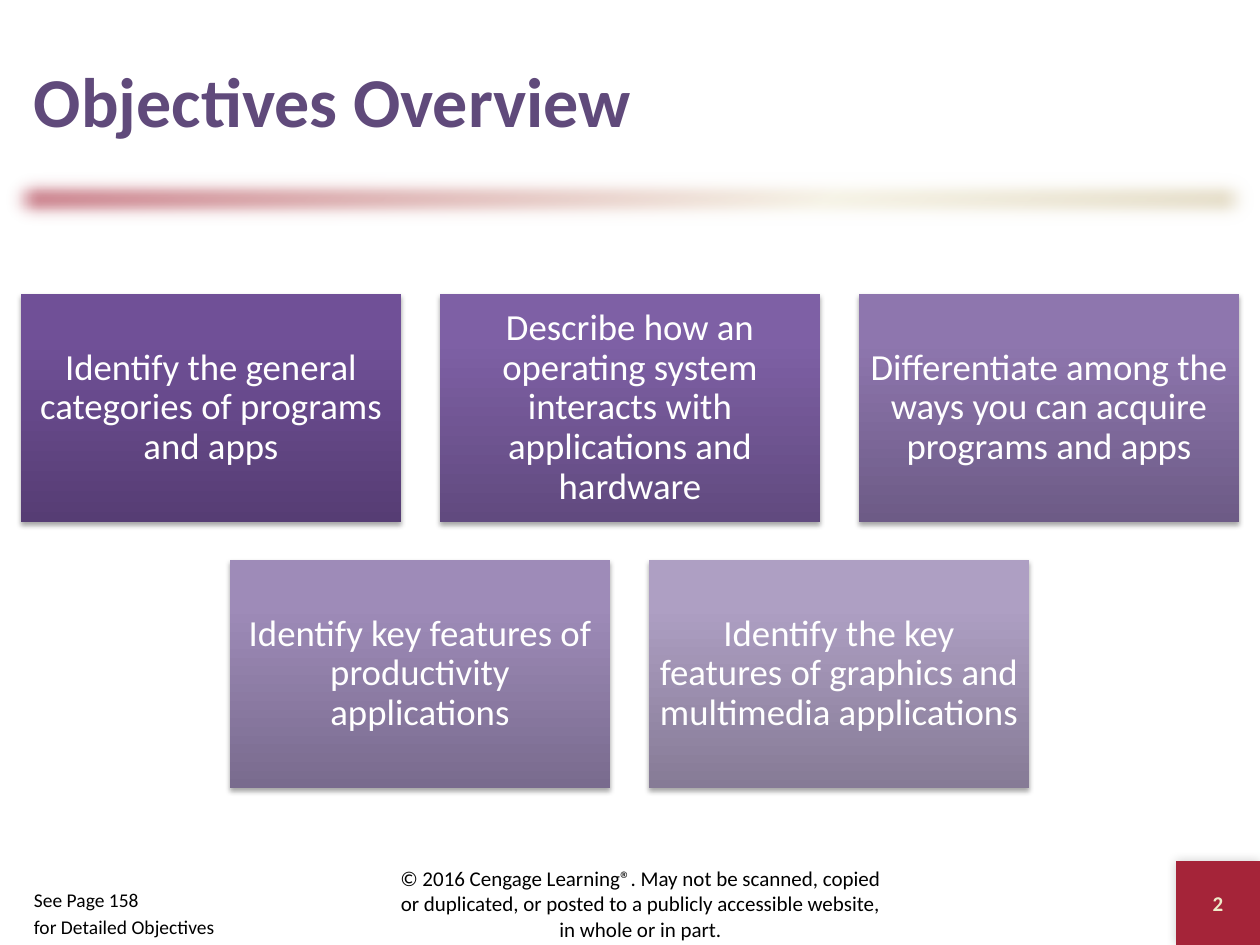
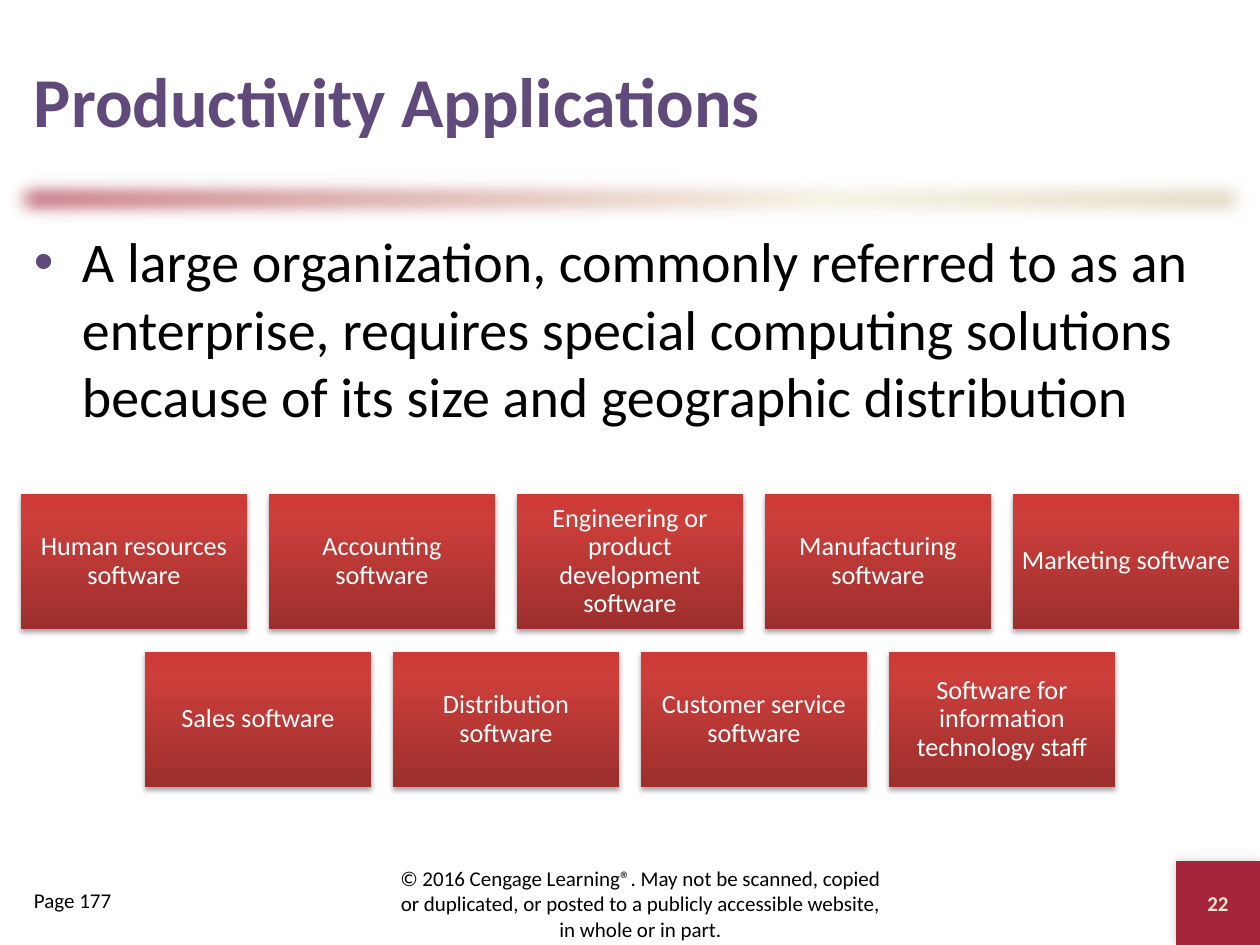
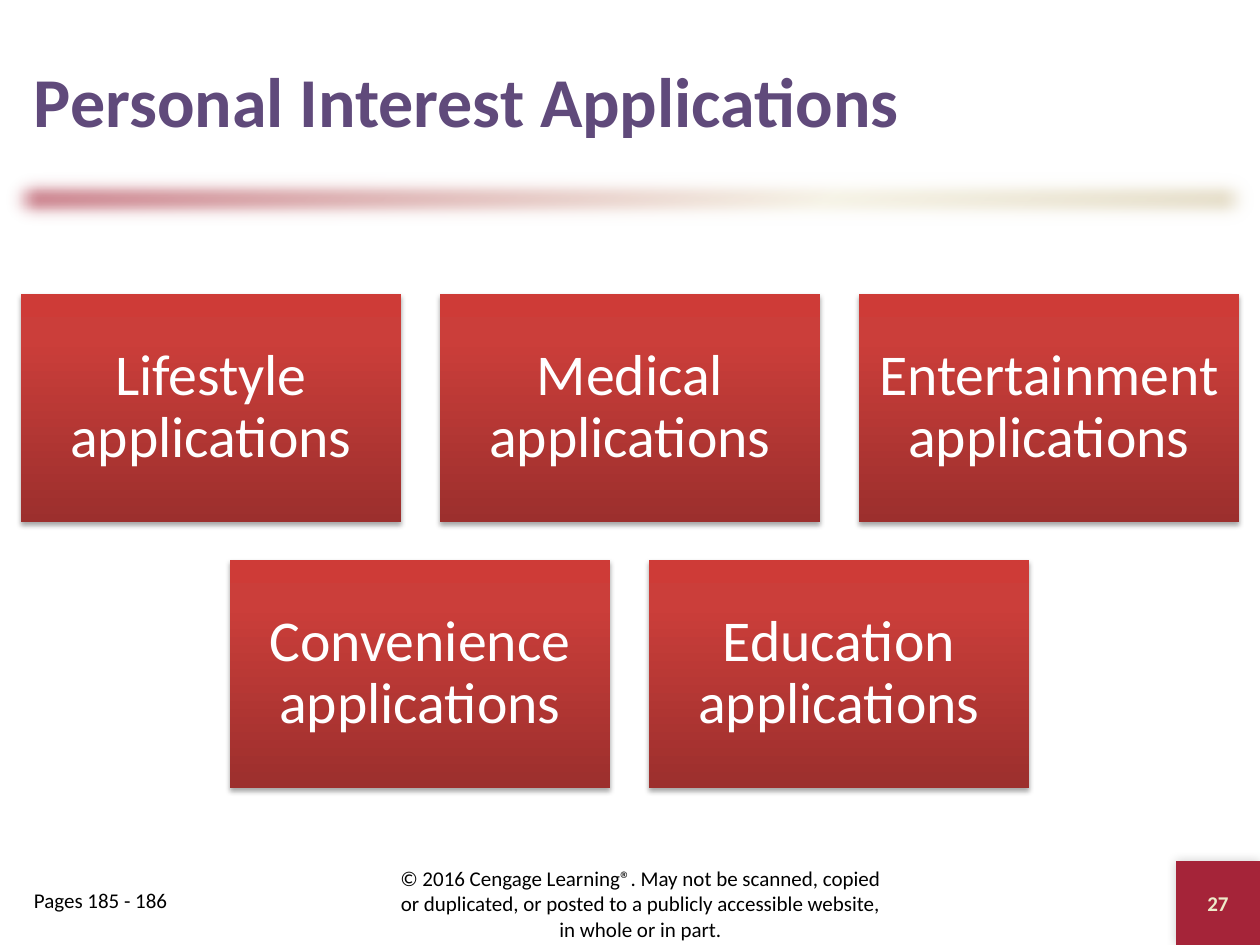
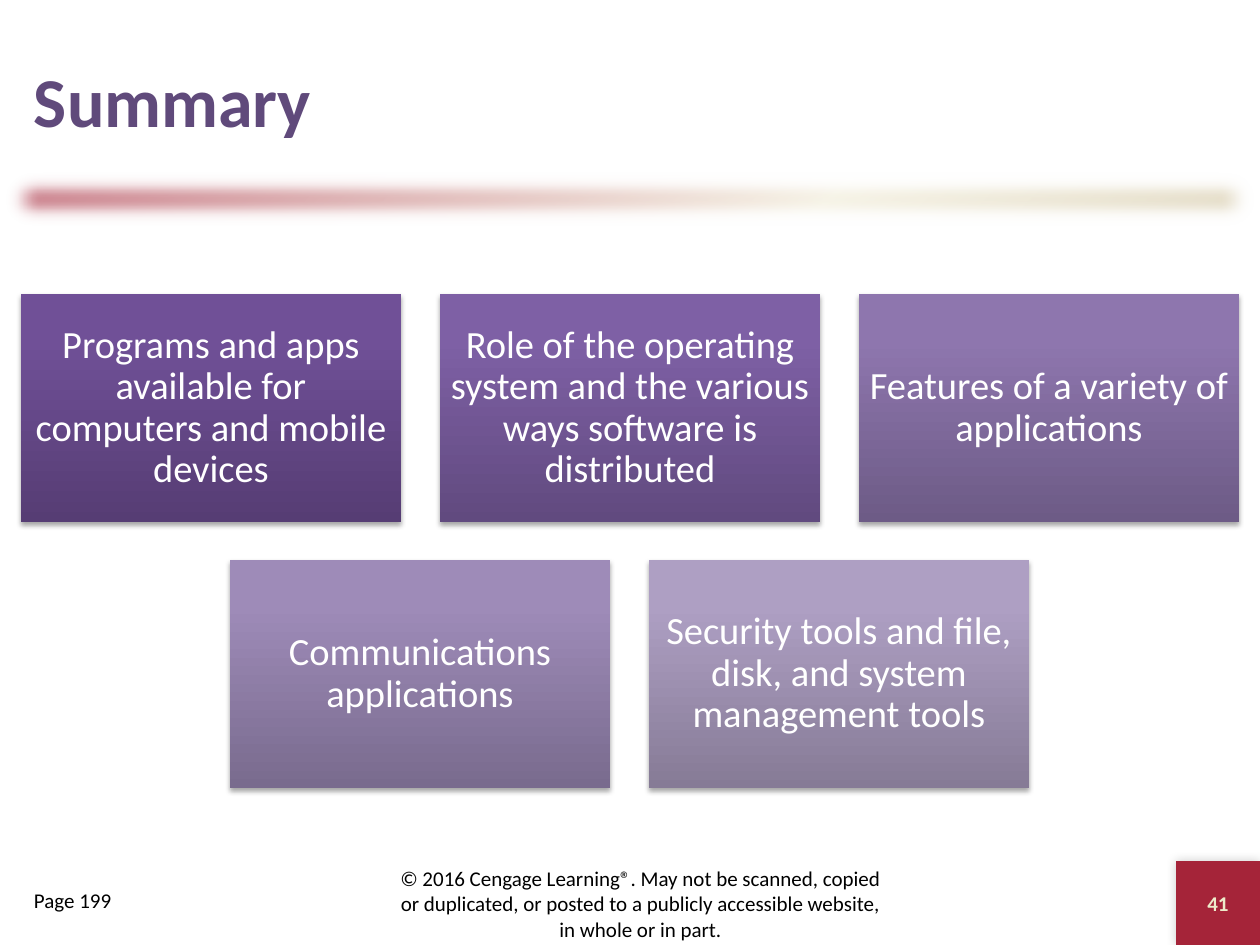
from dataclasses import dataclass
from itertools import cycle
from typing import NamedTuple

from lxml import etree
from pptx import Presentation
from pptx import util as u
from pptx.dml.color import RGBColor
from pptx.enum import shapes, text
from pptx.oxml import parse_xml
from pptx.oxml.ns import nsdecls, qn

# Shared look
SCALE = 914400 / 126
PAGE_W, PAGE_H = 1260, 945
FONT = "Calibri"
PURPLE, CRIMSON, CREAM, BLACK, WHITE = "604A7B", "A52439", "EEEBCA", "000000", "FFFFFF"
COPYRIGHT = ("© 2016 Cengage Learning®. May not be scanned, copied or duplicated, "
             "or posted to a publicly accessible website, in whole or in part.")
LEFT, CENTER = text.PP_ALIGN.LEFT, text.PP_ALIGN.CENTER
TOP, MIDDLE = text.MSO_ANCHOR.TOP, text.MSO_ANCHOR.MIDDLE
HANGING = 48
INSET_X, INSET_Y = 13, 6


class Stop(NamedTuple):
    percent: int
    color: str


class Area(NamedTuple):
    left: int
    top: int
    width: int
    height: int


class Shadow(NamedTuple):
    alpha: int
    blur: float
    distance: float
    angle: int


@dataclass(frozen=True)
class TextStyle:
    size: float
    color: str = BLACK
    bold: bool = False
    align: text.PP_ALIGN = LEFT
    anchor: text.MSO_ANCHOR = TOP
    line_spacing: float | None = None


@dataclass(frozen=True)
class CardGrid:
    top: int
    width: int
    height: int
    gap_x: int
    gap_y: int


@dataclass(frozen=True)
class Topic:
    title: str
    number: int
    reference: list[str]
    grid: CardGrid
    rows: list[list[str]]
    ramps: list[list[Stop]]
    card_size: int
    card_inset: int
    body: str = ""
    reference_size: float = 12


def ramp(dark: str, middle: str, light: str) -> list[Stop]:
    return [Stop(0, dark), Stop(80, middle), Stop(100, light)]


BAND = [Stop(0, CRIMSON), Stop(65, "F0EBD5"), Stop(100, "D1C39F")]
REDS = [ramp("9C2F2D", "CB3E3A", "CE3B37")]
PURPLES = [
    ramp("563D74", "705097", "704F99"),
    ramp("614A7F", "7E60A5", "7F60A7"),
    ramp("6D5B86", "8E76AE", "8E75B0"),
    ramp("796B8E", "9E8BB8", "9E8BBA"),
    ramp("867B96", "AE9FC3", "AE9FC4"),
]
CARD_SHADOW = Shadow(35, 3.1, 1.8, 90)
BADGE_SHADOW = Shadow(20, 6, 0, 225)
LARGE_GRID = CardGrid(top=294, width=380, height=228, gap_x=39, gap_y=38)
SMALL_GRID = CardGrid(top=494, width=226, height=135, gap_x=22, gap_y=23)

TITLE = TextStyle(40, PURPLE, bold=True, anchor=MIDDLE)
BODY = TextStyle(32)
BADGE = TextStyle(12, CREAM, bold=True, align=CENTER, anchor=MIDDLE)
FOOTER = TextStyle(12, align=CENTER, anchor=MIDDLE)

# Slide content
TOPICS = [
    Topic("Objectives Overview", 2, ["See Page 158", "for Detailed Objectives"], LARGE_GRID, [
        ["Identify the general categories of programs and apps",
         "Describe how an operating system interacts with applications and hardware",
         "Differentiate among the ways you can acquire programs and apps"],
        ["Identify key features of productivity applications",
         "Identify the key features of graphics and multimedia applications"],
    ], PURPLES, card_size=21, card_inset=10, reference_size=11.1),
    Topic("Productivity Applications", 22, ["Page 177"], SMALL_GRID, [
        ["Human resources software", "Accounting software",
         "Engineering or product development software",
         "Manufacturing software", "Marketing software"],
        ["Sales software", "Distribution software", "Customer service software",
         "Software for information technology staff"],
    ], REDS, card_size=15, card_inset=8,
        body="A large organization, commonly referred to as an enterprise, requires special "
             "computing solutions because of its size and geographic distribution"),
    Topic("Personal Interest Applications", 27, ["Pages 185 - 186"], LARGE_GRID, [
        ["Lifestyle applications", "Medical applications", "Entertainment applications"],
        ["Convenience applications", "Education applications"],
    ], REDS, card_size=33, card_inset=18),
    Topic("Summary", 41, ["Page 199"], LARGE_GRID, [
        ["Programs and apps available for computers and mobile devices",
         "Role of the operating system and the various ways software is distributed",
         "Features of a variety of applications"],
        ["Communications applications",
         "Security tools and file, disk, and system management tools"],
    ], PURPLES, card_size=22, card_inset=10),
]


# Drawing helpers
def px(length: float) -> int:
    return round(length * SCALE)


def rgb(color: str) -> RGBColor:
    return RGBColor.from_string(color)


def add_rect(parent, area: Area):
    box = parent.add_shape(shapes.MSO_SHAPE.RECTANGLE, *map(px, area))
    box.line.fill.background()
    box.shadow.inherit = False
    return box


def fill_gradient(box, stops: list[Stop], angle: int) -> None:
    box.fill.background()
    marks = "".join(f'<a:gs pos="{stop.percent * 1000}"><a:srgbClr val="{stop.color}"/></a:gs>'
                    for stop in stops)
    gradient = parse_xml(f'<a:gradFill {nsdecls("a")} rotWithShape="1"><a:gsLst>{marks}</a:gsLst>'
                         f'<a:lin ang="{angle * 60000}" scaled="0"/></a:gradFill>')
    props = box.element.spPr
    props.replace(props.find(qn("a:noFill")), gradient)


def add_effect(box, tag: str, **attributes: str):
    effects = box.element.spPr.find(qn("a:effectLst"))
    return etree.SubElement(effects, qn(tag), attributes)


def add_shadow(box, shadow: Shadow) -> None:
    outer = add_effect(box, "a:outerShdw", blurRad=str(u.Pt(shadow.blur)),
                       dist=str(u.Pt(shadow.distance)), dir=str(shadow.angle * 60000),
                       rotWithShape="0")
    color = etree.SubElement(outer, qn("a:srgbClr"), val=BLACK)
    etree.SubElement(color, qn("a:alpha"), val=str(shadow.alpha * 1000))


def set_text(box, lines: list[str], style: TextStyle,
             inset_x: int = INSET_X, inset_y: int = INSET_Y) -> None:
    frame = box.text_frame
    frame.word_wrap = True
    frame.vertical_anchor = style.anchor
    frame.margin_left = frame.margin_right = px(inset_x)
    frame.margin_top = frame.margin_bottom = px(inset_y)
    frame.text = "\n".join(lines)
    for index, para in enumerate(frame.paragraphs):
        para.alignment = style.align
        if style.line_spacing:
            para.line_spacing = style.line_spacing
        if index:
            para.space_before = u.Pt(round(style.size * 0.2, 1))
        for span in para.runs:
            span.font.name = FONT
            span.font.size = u.Pt(style.size)
            span.font.bold = style.bold
            span.font.color.rgb = rgb(style.color)


def add_text(page, area: Area, lines: list[str], style: TextStyle):
    box = page.shapes.add_textbox(*map(px, area))
    set_text(box, lines, style)
    return box


def hang(box, bullet: str = "") -> None:
    for para in box.text_frame.paragraphs:
        props = para._p.get_or_add_pPr()
        props.set("marL", str(px(HANGING)))
        props.set("indent", str(-px(HANGING)))
        if bullet:
            color = etree.SubElement(props, qn("a:buClr"))
            etree.SubElement(color, qn("a:srgbClr"), val=PURPLE)
            etree.SubElement(props, qn("a:buFont"), typeface="Arial")
            etree.SubElement(props, qn("a:buChar"), char=bullet)


# Slide parts
def add_frame(page, topic: Topic) -> None:
    band = add_rect(page.shapes, Area(0, 168, PAGE_W, 63))
    fill_gradient(band, BAND, 45)
    add_effect(band, "a:softEdge", rad=str(u.Pt(12.5)))

    badge = add_rect(page.shapes, Area(PAGE_W - 84, PAGE_H - 84, 84, 84))
    badge.fill.solid()
    badge.fill.fore_color.rgb = rgb(CRIMSON)
    add_shadow(badge, BADGE_SHADOW)
    set_text(badge, [str(topic.number)], BADGE)

    add_text(page, Area(21, 21, 1218, 158), [topic.title], TITLE)
    add_text(page, Area(378, 872, 525, 63), [COPYRIGHT], FOOTER)
    hang(add_text(page, Area(21, 882, 231, 63), topic.reference,
                  TextStyle(topic.reference_size)))


def add_cards(page, topic: Topic) -> None:
    grid = topic.grid
    style = TextStyle(topic.card_size, WHITE, align=CENTER, anchor=MIDDLE, line_spacing=0.9)
    group = page.shapes.add_group_shape()
    ramps = cycle(topic.ramps)
    for row, labels in enumerate(topic.rows):
        row_width = len(labels) * (grid.width + grid.gap_x) - grid.gap_x
        start = (PAGE_W - row_width) // 2
        top = grid.top + row * (grid.height + grid.gap_y)
        for column, label in enumerate(labels):
            left = start + column * (grid.width + grid.gap_x)
            card = add_rect(group.shapes, Area(left, top, grid.width, grid.height))
            fill_gradient(card, next(ramps), 270)
            add_shadow(card, CARD_SHADOW)
            set_text(card, [label], style, topic.card_inset, topic.card_inset)


def main() -> None:
    deck = Presentation()
    deck.slide_width, deck.slide_height = px(PAGE_W), px(PAGE_H)
    for topic in TOPICS:
        page = deck.slides.add_slide(deck.slide_layouts[6])
        add_frame(page, topic)
        if topic.body:
            hang(add_text(page, Area(21, 221, 1218, 640), [topic.body], BODY), "•")
        add_cards(page, topic)
    deck.save("out.pptx")


if __name__ == "__main__":
    main()
